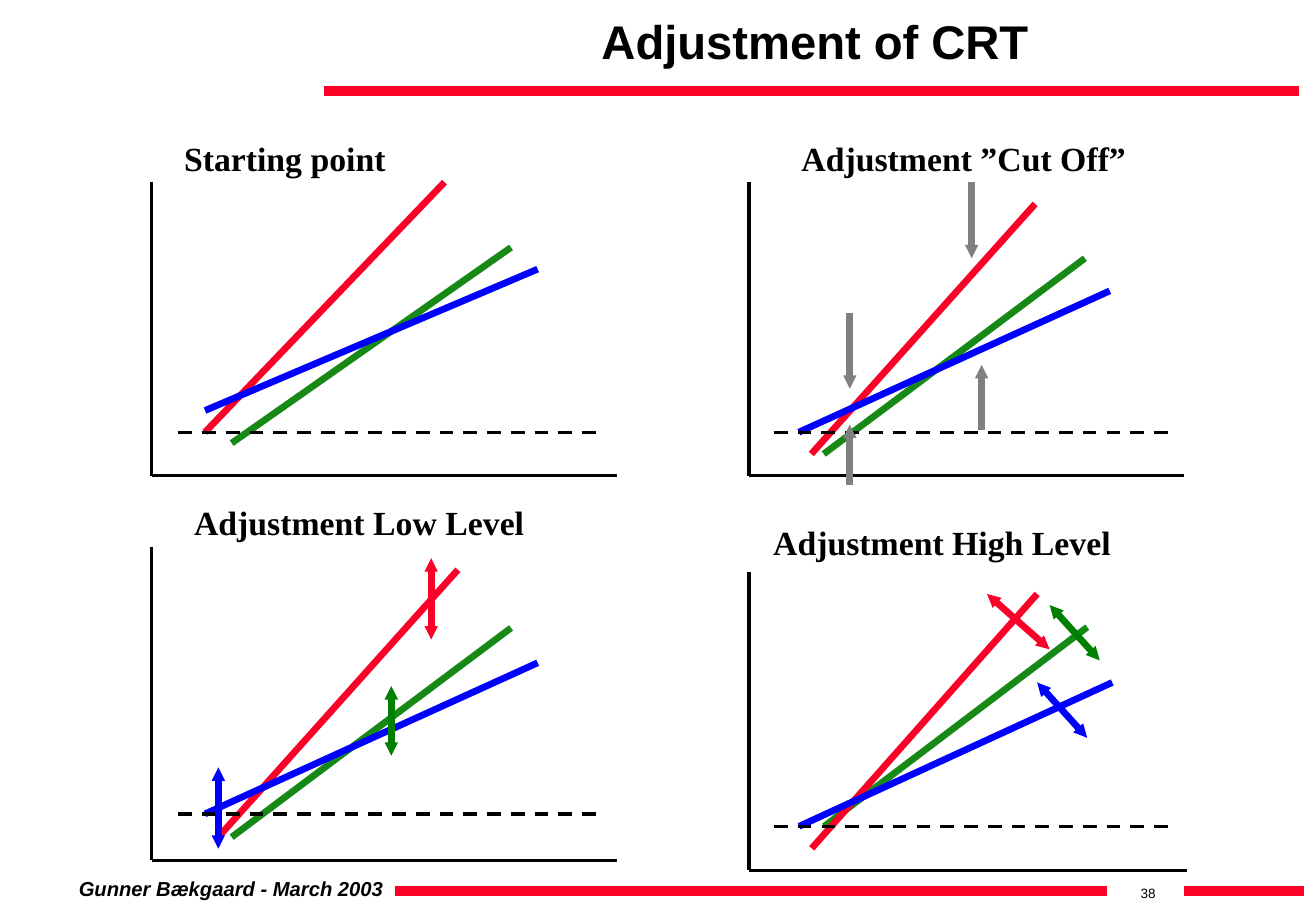
from lxml import etree
from pptx import Presentation
from pptx.dml.color import RGBColor
from pptx.enum.dml import MSO_LINE
from pptx.enum.shapes import MSO_CONNECTOR
from pptx.enum.text import MSO_ANCHOR, MSO_AUTO_SIZE, PP_ALIGN
from pptx.oxml.ns import qn
from pptx.util import Inches, Pt

SLIDE_COLUMNS, SLIDE_ROWS = 130, 90
PANEL_COLUMNS, PANEL_ROWS = 35, 27
BLACK, GRAY = "000000", "808080"
RED, GREEN, BLUE, DARK_GREEN = "FC0128", "178917", "0000FF", "008000"
DASH_ROW = 23

# Frames are left, top, width, height in slide columns and rows.
# Curves and arrows are x1, y1, x2, y2 in panel columns and rows.
PANELS = [
    {
        "caption": ("Starting point", (17, 13, 41, 5.28)),
        "frame": (15, 18, 46, 29),
        "curves": [(GREEN, (6, 24, 27, 6)), (RED, (4, 23, 22, 0)),
                   (BLUE, (4, 21, 29, 8))],
        "arrows": [],
        "both_ends": False,
    },
    {
        "caption": ("Adjustment ”Cut Off”", (78, 13, 41, 5.28)),
        "frame": (74, 18, 43, 29),
        "curves": [(GREEN, (6, 25, 27, 7)), (RED, (5, 25, 23, 2)),
                   (BLUE, (4, 23, 29, 10))],
        "arrows": [(GRAY, (8.1, 12, 8.1, 19)), (GRAY, (17.9, 0, 17.9, 7)),
                   (GRAY, (18.7, 22.8, 18.7, 16.8)),
                   (GRAY, (8.1, 27.9, 8.1, 22.3))],
        "both_ends": False,
    },
    {
        "caption": ("Adjustment Low Level", (18, 49, 41, 5.28)),
        "frame": (15, 54, 46, 31),
        "curves": [(GREEN, (6, 25, 27, 7)), (RED, (5, 25, 23, 2)),
                   (BLUE, (4, 23, 29, 10))],
        "arrows": [(BLUE, (5, 19, 5, 26)), (RED, (21, 1, 21, 8)),
                   (DARK_GREEN, (18, 18, 18, 12))],
        "both_ends": True,
    },
    {
        "caption": ("Adjustment High Level", (75.2, 51, 50.8, 5.28)),
        "frame": (74, 56.5, 43.3, 29.5),
        "curves": [(GREEN, (6, 23, 27, 5)), (RED, (5, 25, 23, 2)),
                   (BLUE, (4, 23, 29, 10))],
        "arrows": [(BLUE, (23, 10, 27, 15)), (RED, (19, 2, 24, 7)),
                   (DARK_GREEN, (28, 8, 24, 3))],
        "both_ends": True,
    },
]


def color(hex_string):
    return RGBColor.from_string(hex_string)


class SlideBuilder:
    def __init__(self, presentation):
        self.column = presentation.slide_width / SLIDE_COLUMNS
        self.row = presentation.slide_height / SLIDE_ROWS
        layout = presentation.slide_layouts[5]
        self.slide = presentation.slides.add_slide(layout)

    def place(self, left, top, width, height):
        """Turn slide columns and rows into lengths."""
        return (round(left * self.column), round(top * self.row),
                round(width * self.column), round(height * self.row))

    def style(self, paragraph, size, name, bold=False, italic=False):
        font = paragraph.font
        font.size, font.name = Pt(size), name
        font.bold, font.italic = bold, italic
        font.color.rgb = color(BLACK)

    def title(self, text, frame):
        shape = self.slide.shapes.title
        shape.left, shape.top, shape.width, shape.height = self.place(*frame)
        text_frame = shape.text_frame
        text_frame.text = text
        text_frame.vertical_anchor = MSO_ANCHOR.MIDDLE
        text_frame.auto_size = MSO_AUTO_SIZE.NONE
        paragraph = text_frame.paragraphs[0]
        paragraph.alignment = PP_ALIGN.CENTER
        self.style(paragraph, 28, "Arial", bold=True)

    def text(self, shapes, text, frame, size, name, wrap=True, before=0,
             **emphasis):
        text_frame = shapes.add_textbox(*self.place(*frame)).text_frame
        text_frame.word_wrap = wrap
        text_frame.auto_size = MSO_AUTO_SIZE.SHAPE_TO_FIT_TEXT
        text_frame.text = text
        paragraph = text_frame.paragraphs[0]
        paragraph.space_before = Pt(before)
        self.style(paragraph, size, name, **emphasis)

    def line(self, shapes, ends, line_color, width, dashed=False, arrows=()):
        """Draw a line; arrows names the ends (headEnd, tailEnd) with a tip."""
        connector = shapes.add_connector(MSO_CONNECTOR.STRAIGHT,
                                         *self.place(*ends))
        connector.line.color.rgb = color(line_color)
        connector.line.width = Pt(width)
        if dashed:
            connector.line.dash_style = MSO_LINE.DASH
        properties = connector._element.spPr
        for end in arrows:
            etree.SubElement(properties.find(qn("a:ln")), qn(f"a:{end}"),
                             type="triangle", w="sm", len="sm")
        etree.SubElement(properties, qn("a:effectLst"))

    def panel(self, caption, frame, curves, arrows, both_ends):
        shapes = self.slide.shapes.add_group_shape().shapes
        left, top, width, height = frame

        def panel_line(ends, *style, **options):
            x1, y1, x2, y2 = ends
            self.line(shapes, (left + x1 * width / PANEL_COLUMNS,
                               top + y1 * height / PANEL_ROWS,
                               left + x2 * width / PANEL_COLUMNS,
                               top + y2 * height / PANEL_ROWS),
                      *style, **options)

        panel_line((0, 0, 0, PANEL_ROWS), BLACK, 2)
        panel_line((0, PANEL_ROWS, PANEL_COLUMNS, PANEL_ROWS), BLACK, 2)
        for curve_color, ends in curves:
            panel_line(ends, curve_color, 4)
        panel_line((2, DASH_ROW, 34, DASH_ROW), BLACK, 2, dashed=True)
        tips = ("headEnd", "tailEnd") if both_ends else ("tailEnd",)
        for arrow_color, ends in arrows:
            panel_line(ends, arrow_color, 4, arrows=tips)
        text, text_frame = caption
        self.text(shapes, text, text_frame, 20, "Times New Roman",
                  before=12.5, bold=True)


def main():
    presentation = Presentation()
    presentation.slide_width = Inches(10.84)
    presentation.slide_height = Inches(7.5)
    builder = SlideBuilder(presentation)
    shapes = builder.slide.shapes

    for start, end, row in [(32, 128.3, 9), (39, 109.4, 88), (117, 128.8, 88)]:
        builder.line(shapes, (start, row, end, row), RED, 6)
    builder.text(shapes, "38", (111.5, 86.8, 4.6, 2.8), 8, "Arial")
    builder.text(shapes, "Gunner Bækgaard - March 2003", (6.6, 86, 32.5, 3.6),
                 12, "Arial", wrap=False, bold=True, italic=True)
    builder.title("Adjustment of CRT", (32, 1, 97, 6))
    for panel in PANELS:
        builder.panel(**panel)

    presentation.save("out.pptx")


if __name__ == "__main__":
    main()
